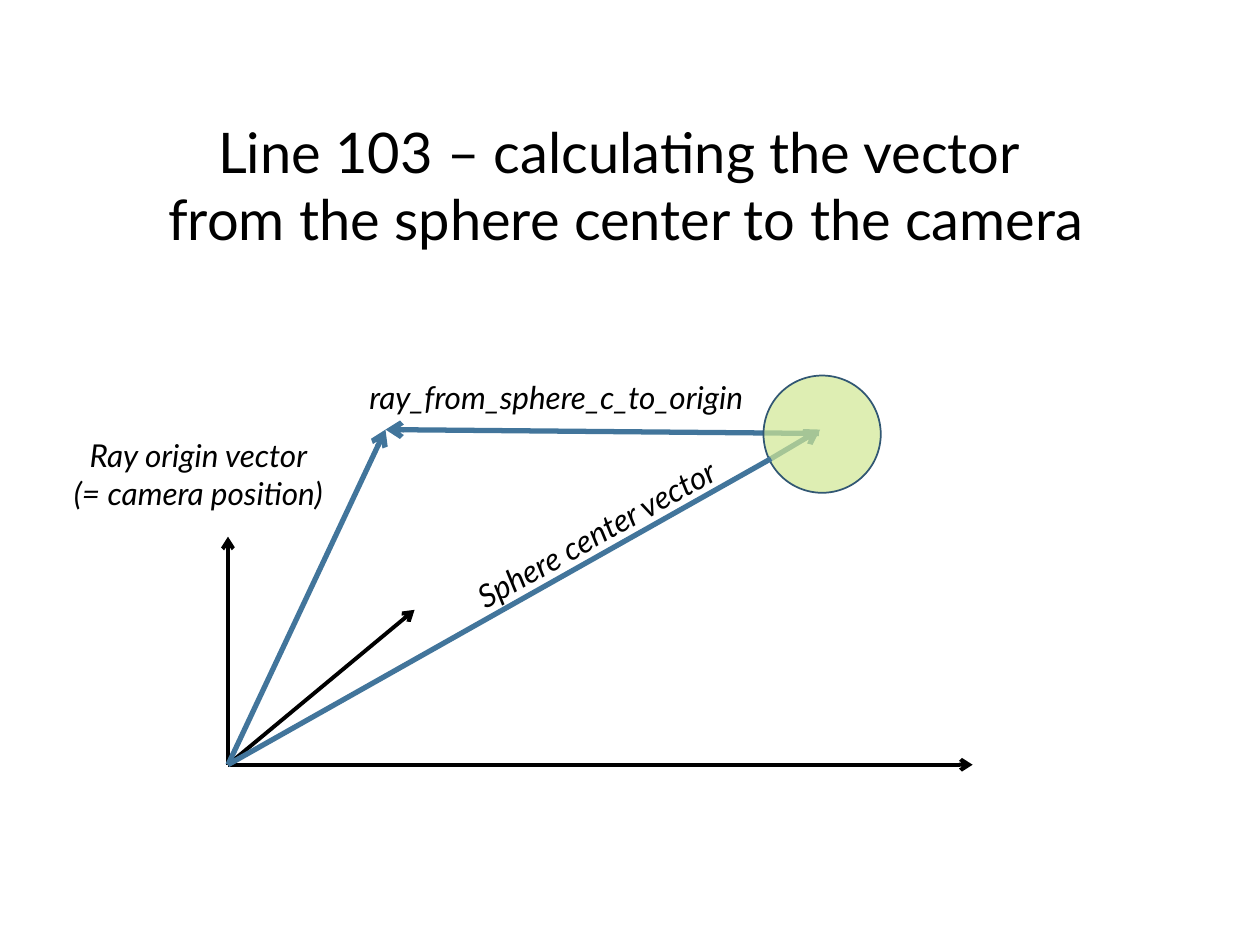
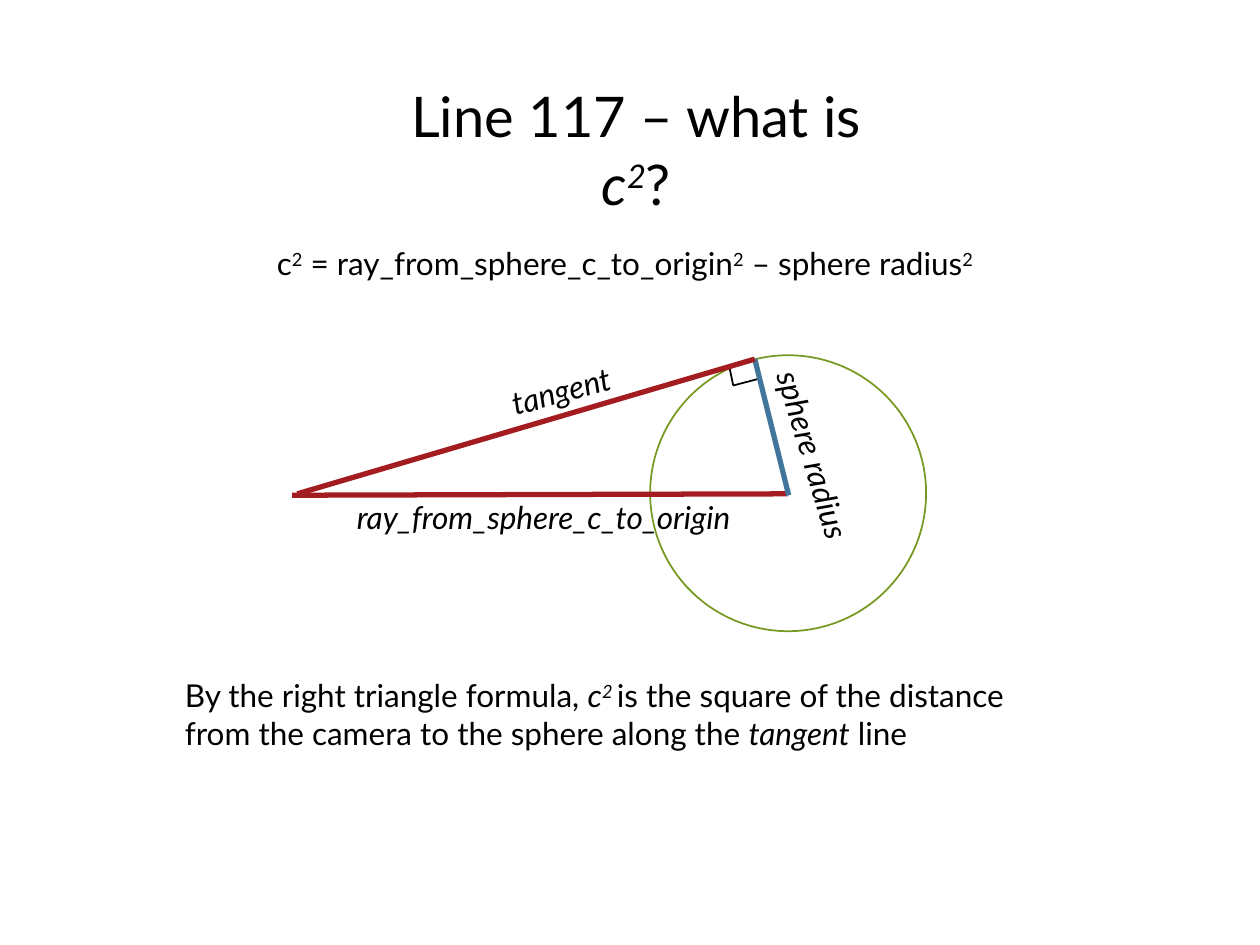
import pptx
import pptx.dml.color
import pptx.enum.shapes
import pptx.enum.text
import pptx.oxml.ns
import pptx.util
from lxml import etree

Pt = pptx.util.Pt
CENTER = pptx.enum.text.PP_ALIGN.CENTER
LEFT = pptx.enum.text.PP_ALIGN.LEFT
FONT = "Lato"
TITLE_SIZE = 32
BODY_SIZE = 18
COLORS = {
    "ink": "000000",
    "paper": "FFFFFF",
    "vector": "42759B",
    "side": "A31D20",
    "sphere": "D0E894",
    "sphere_edge": "315773",
    "outline": "779921",
}


def rgb(name):
    return pptx.dml.color.RGBColor.from_string(COLORS[name])


def add_child(parent, tag, **attributes):
    return etree.SubElement(parent, pptx.oxml.ns.qn(tag), attributes)


def add_segment(slide, start, end, color, width, arrow=False):
    segment = slide.shapes.add_connector(
        pptx.enum.shapes.MSO_CONNECTOR.STRAIGHT,
        *(Pt(length) for length in (*start, *end)))
    segment.line.color.rgb = rgb(color)
    segment.line.width = Pt(width)
    if arrow:
        add_child(segment.line._get_or_add_ln(), "a:tailEnd", type="arrow")
    add_child(segment._element.spPr, "a:effectLst")


def add_circle(slide, left, top, diameter, fill, edge, opacity=100):
    circle = slide.shapes.add_shape(
        pptx.enum.shapes.MSO_SHAPE.OVAL,
        Pt(left), Pt(top), Pt(diameter), Pt(diameter))
    circle.shadow.inherit = False
    circle.fill.solid()
    circle.fill.fore_color.rgb = rgb(fill)
    circle.line.color.rgb = rgb(edge)
    circle.line.width = Pt(1)
    if opacity < 100:
        color = circle._element.spPr.find(".//" + pptx.oxml.ns.qn("a:srgbClr"))
        add_child(color, "a:alpha", val=str(opacity * 1000))


def add_text(slide, box, paragraphs, size=BODY_SIZE, align=CENTER,
             wrap=False, rotation=0):
    text_box = slide.shapes.add_textbox(*(Pt(length) for length in box))
    text_box.rotation = rotation
    frame = text_box.text_frame
    frame.word_wrap = wrap
    frame.auto_size = pptx.enum.text.MSO_AUTO_SIZE.SHAPE_TO_FIT_TEXT
    for index, pieces in enumerate(paragraphs):
        paragraph = frame.add_paragraph() if index else frame.paragraphs[0]
        paragraph.alignment = align
        for text, style in pieces:
            if text == "\v":
                paragraph.add_line_break()
                continue
            run = paragraph.add_run()
            run.text = text
            run.font.name = FONT
            run.font.size = Pt(size)
            run.font.color.rgb = rgb("ink")
            run.font.italic = "i" in style
            if "^" in style:
                run._r.get_or_add_rPr().set("baseline", "30000")


def add_label(slide, box, *lines, align=CENTER, rotation=0):
    pieces = []
    for line in lines:
        if pieces:
            pieces.append(("\v", ""))
        pieces.append((line, "i"))
    add_text(slide, box, [pieces], align=align, rotation=rotation)


def build_vector_slide(slide):
    origin = (130.3, 437)
    camera = (220.3, 245.5)
    sphere_entry = (440.6, 262.1)
    for axis_end in ((555.8, 437), (130.3, 306.7), (236.9, 348.5)):
        add_segment(slide, origin, axis_end, "ink", 2.25, arrow=True)
    add_segment(slide, (468, 247.7), camera, "vector", 3, arrow=True)
    add_segment(slide, sphere_entry, (468.7, 245.5), "vector", 3, arrow=True)
    add_circle(slide, 436.3, 214.6, 67, "sphere", "sphere_edge", opacity=70)
    add_segment(slide, origin, camera, "vector", 3, arrow=True)
    add_label(slide, (28.1, 245.5, 170.6, 51),
              "Ray origin vector", "(= camera position)")
    add_segment(slide, origin, sphere_entry, "vector", 3)
    add_label(slide, (250.6, 290.2, 180, 28.8), "Sphere center vector",
              rotation=330.7)
    add_text(slide, (84.2, 63.4, 547.2, 85),
             [[("Line 103 – calculating the vector ", "")],
              [("from the sphere center to the camera", "")]],
             size=TITLE_SIZE)
    add_label(slide, (195.1, 212.4, 245.5, 28.8),
              "ray_from_sphere_c_to_origin")


def build_tangent_slide(slide):
    tangent_point = (431.3, 205.2)
    mark_corner = (419, 220.3)
    add_text(slide, (205.2, 43.2, 316.8, 85),
             [[("Line 117 – what is ", ""), ("c", "i"), ("2", "i^"),
               ("?", "")]],
             size=TITLE_SIZE, wrap=True)
    add_circle(slide, 371.5, 203, 157.7, "paper", "outline")
    add_label(slide, (190.1, 280.8, 241.2, 28.8),
              "ray_from_sphere_c_to_origin")
    for mark_end in ((416.9, 210.2), (432.7, 216.7)):
        add_segment(slide, mark_corner, mark_end, "ink", 1)
    add_segment(slide, (450, 282.2), (167, 283), "side", 3)
    add_segment(slide, (450.7, 283), tangent_point, "vector", 3)
    add_segment(slide, (169.9, 282.2), tangent_point, "side", 3)
    add_label(slide, (284.4, 208.1, 77, 28.8), "tangent", align=LEFT,
              rotation=344.6)
    add_label(slide, (403.9, 245.5, 121.7, 28.8), "sphere radius", rotation=73)
    add_text(slide, (151.2, 136.1, 530.6, 28.8),
             [[("c", ""), ("2", "^"), (" = ray_from_sphere_c_to_origin", ""),
               ("2", "^"), (" – sphere radius", ""), ("2", "^")]],
             align=LEFT, wrap=True)
    add_text(slide, (98.6, 383, 530.6, 51),
             [[("By the right triangle formula, ", ""), ("c", "i"),
               ("2 ", "i^"), ("is the square of the distance ", ""),
               ("\v", ""), ("from the camera to the sphere along the ", ""),
               ("tangent", "i"), (" line", "")]],
             align=LEFT, wrap=True)


def main():
    deck = pptx.Presentation()
    deck.slide_width = Pt(720)
    deck.slide_height = Pt(540)
    blank = deck.slide_layouts[6]
    for build in (build_vector_slide, build_tangent_slide):
        build(deck.slides.add_slide(blank))
    deck.save("out.pptx")


if __name__ == "__main__":
    main()
